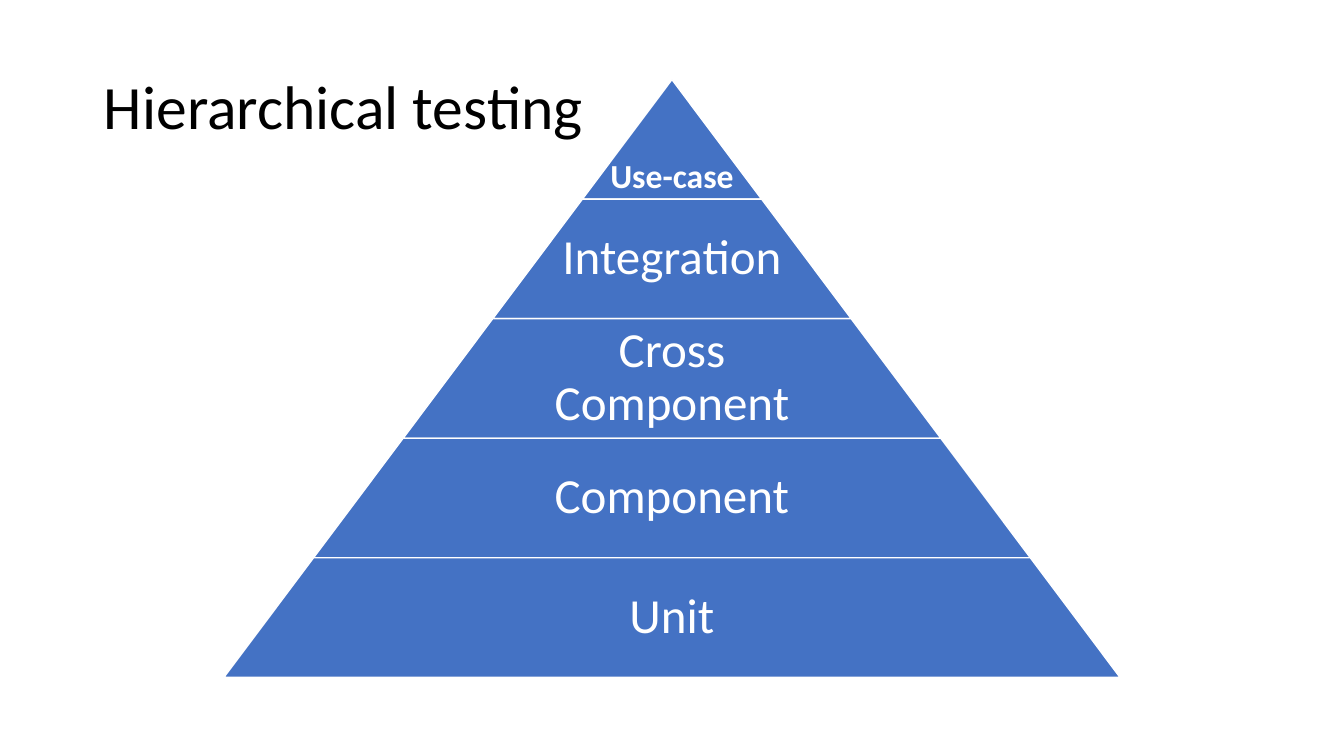
from pptx import Presentation
from pptx.dml.color import RGBColor
from pptx.enum.shapes import MSO_SHAPE
from pptx.enum.text import MSO_ANCHOR, PP_ALIGN
from pptx.util import Inches, Pt

BLUE = RGBColor(0x44, 0x72, 0xC4)
WHITE = RGBColor(0xFF, 0xFF, 0xFF)
BLACK = RGBColor(0, 0, 0)
FONT = "Calibri"
LEVELS = ["Use-case", "Integration", "Cross Component", "Component", "Unit"]
LABEL_SHARE = 0.65  # label width as a share of its tier


def add_label(slide, box, words, size, color, align=PP_ALIGN.CENTER,
              anchor=MSO_ANCHOR.MIDDLE, bold=False, inset=0.05):
    """Write one wrapped paragraph in the box (left, top, width, height)."""
    frame = slide.shapes.add_textbox(*map(int, box)).text_frame
    frame.word_wrap = True
    frame.vertical_anchor = anchor
    frame.margin_left = frame.margin_right = Inches(inset)
    frame.margin_top = frame.margin_bottom = Inches(inset)
    line = frame.paragraphs[0]
    line.text = words
    line.alignment = align
    line.line_spacing = 0.9
    line.font.name = FONT
    line.font.size = Pt(size)
    line.font.bold = bold
    line.font.color.rgb = color


def add_tier(slide, box, slant):
    """Draw one trapezoid whose sides run in by slant times its height."""
    tier = slide.shapes.add_shape(MSO_SHAPE.TRAPEZOID, *map(int, box))
    tier.adjustments[0] = slant
    tier.shadow.inherit = False
    tier.fill.solid()
    tier.fill.fore_color.rgb = BLUE
    tier.line.color.rgb = WHITE
    tier.line.width = Pt(1)


def add_pyramid(slide, box, levels):
    """Stack equally high tiers, from the tip to the base, in the box."""
    left, top, width, height = box
    row = height / len(levels)
    step = width / len(levels)
    slant = step / 2 / row
    for index, level in enumerate(levels):
        tier_width = step * (index + 1)
        tier_left = left + (width - tier_width) / 2
        tier_top = top + index * row
        add_tier(slide, (tier_left, tier_top, tier_width, row), slant)
        if index == 0:
            add_label(slide, (tier_left, tier_top, tier_width, row), level, 24,
                      WHITE, anchor=MSO_ANCHOR.BOTTOM, bold=True, inset=0.03)
        else:
            label_width = tier_width * LABEL_SHARE
            label_left = left + (width - label_width) / 2
            add_label(slide, (label_left, tier_top, label_width, row), level,
                      35, WHITE)


def add_title(slide, box, title):
    """Write the slide title, left-aligned, in the box."""
    add_label(slide, box, title, 44, BLACK, align=PP_ALIGN.LEFT, inset=0.1)


deck = Presentation()
deck.slide_width = Inches(13.33)
deck.slide_height = Inches(7.5)
wide, high = deck.slide_width, deck.slide_height
testing = deck.slides.add_slide(deck.slide_layouts[6])
add_title(testing, (wide * 0.07, high * 0.05, wide * 0.86, high * 0.19),
          "Hierarchical testing")
add_pyramid(testing, (wide / 6, Inches(0.79), wide * 2 / 3, Inches(5.93)),
            LEVELS)
deck.save("out.pptx")
